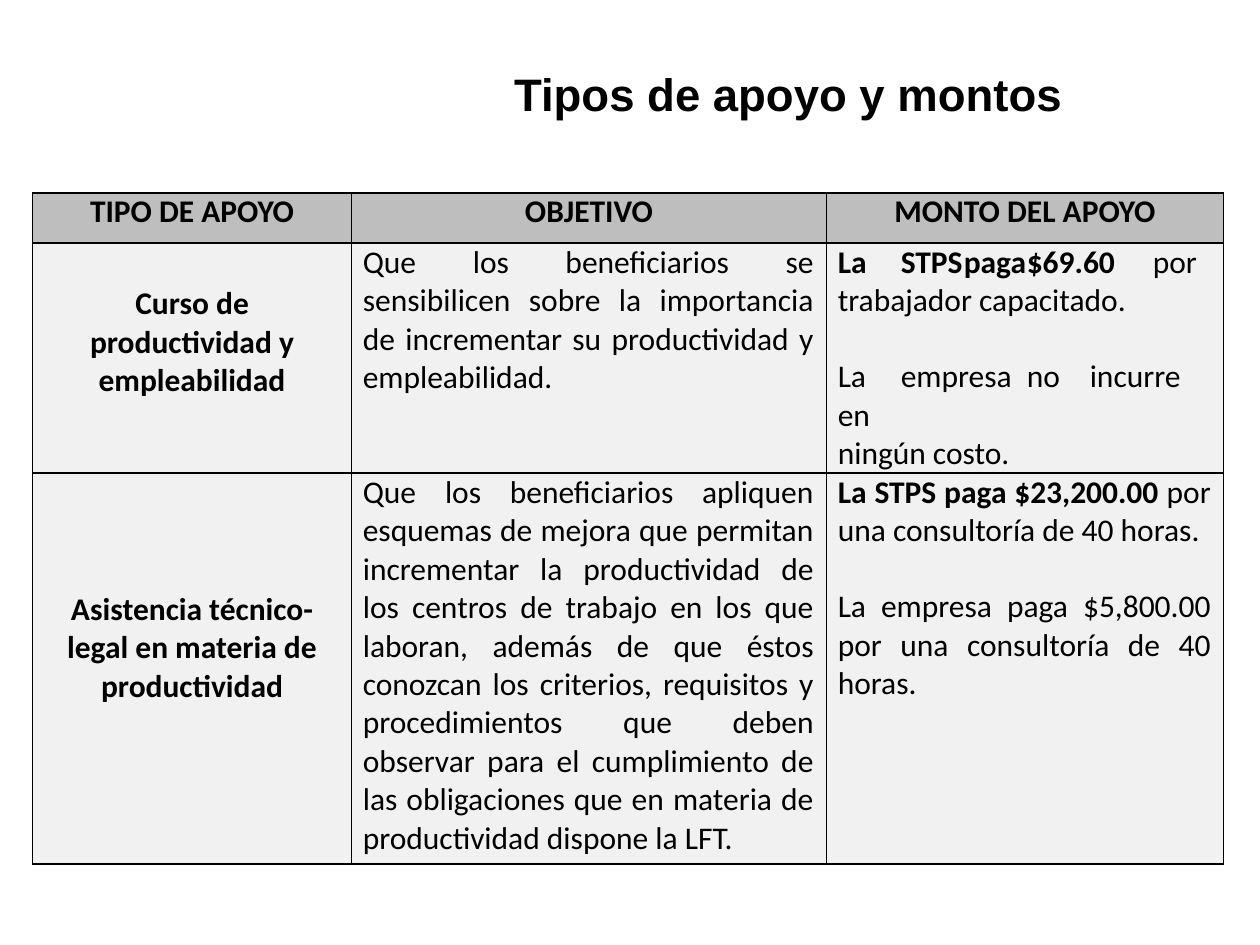
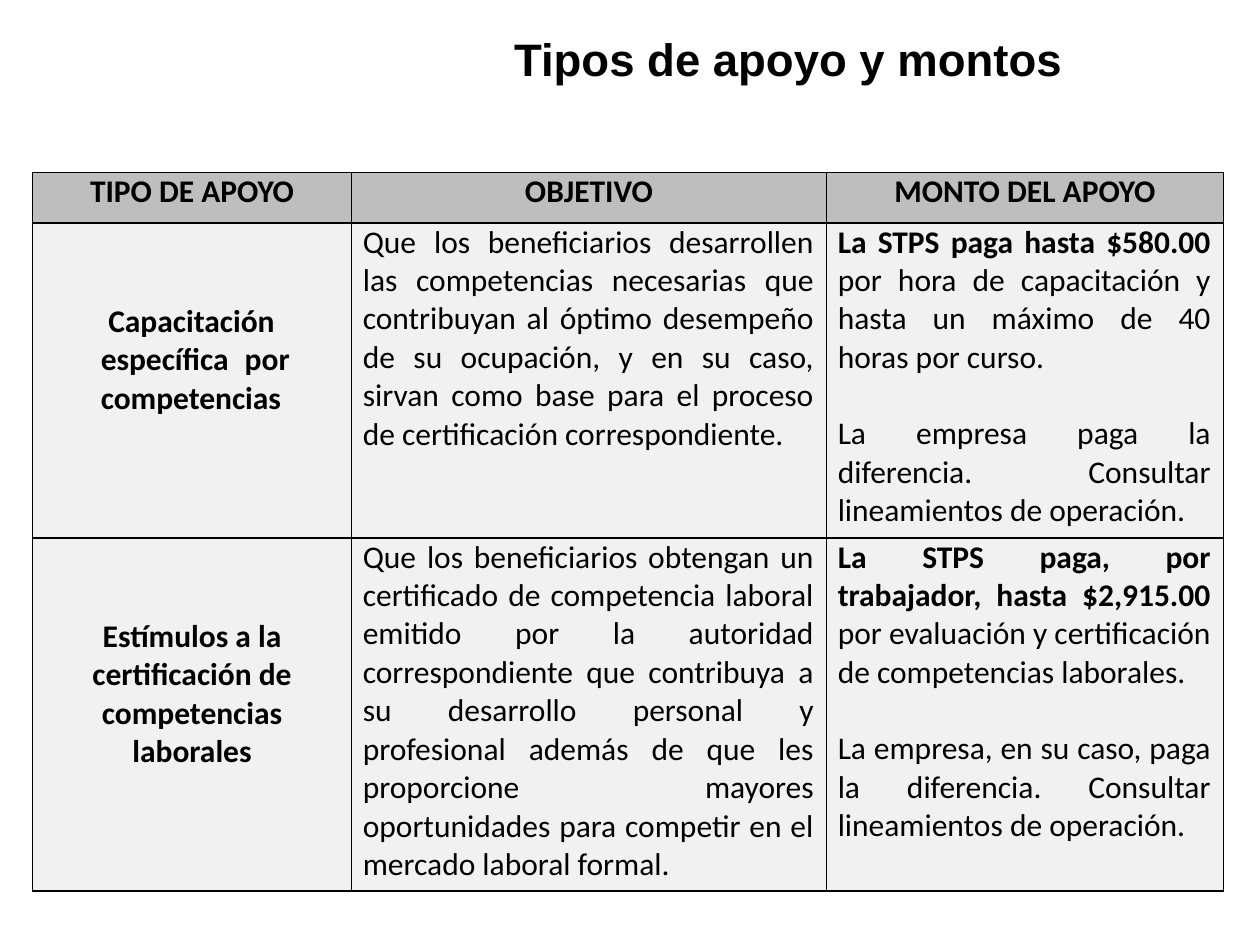
from lxml import etree
from pptx import Presentation
from pptx.dml.color import RGBColor as Rgb
from pptx.enum.text import MSO_ANCHOR as Anchor, PP_ALIGN as Align
from pptx.oxml.ns import qn
from pptx.util import Inches, Pt

HUES = {"ink": "000000", "head": "BEBEBE", "cell": "F1F1F1"}
TITLE = "Tipos de apoyo y montos"
HEADS = ["TIPO DE APOYO", "OBJETIVO", "MONTO DEL APOYO"]
COLS = [2.53, 3.77, 3.15]
LEFT = 0.26
HEAD_H = 0.4
SIDE = 0.09
EDGE = 0.1
GAP = 21.6

# Each row: height, name with its format, goal, payment paragraphs.
# A payment paragraph holds a bold part, a plain part and its format.
PAGES = [
    {"title": 0.58, "table": 1.53, "rows": [
        {"high": 1.6,
         "name": ("Curso de productividad y empleabilidad",
                  {"top": 0.33, "side": 0.43}),
         "goal": "Que los beneficiarios se sensibilicen sobre la importancia "
                 "de incrementar su productividad y empleabilidad.",
         "edge": 0.2,
         "pay": [("La\tSTPS\tpaga\t$69.60\t", "por trabajador capacitado.",
                  {"align": Align.LEFT, "tabs": [0.49, 1.15, 1.82, 2.68]}),
                 ("", "La\tempresa\tno\tincurre\ten",
                  {"align": Align.LEFT, "before": GAP,
                   "tabs": [0.46, 1.5, 1.9, 2.78]}),
                 ("", "ningún costo.", {"align": Align.LEFT})]},
        {"high": 3.1,
         "name": ("Asistencia técnico- legal en materia de productividad"
                  .replace("- ", "-"), {"top": 0.93, "side": 0.24}),
         "goal": "Que los beneficiarios apliquen esquemas de mejora que "
                 "permitan incrementar la productividad de los centros de "
                 "trabajo en los que laboran, además de que éstos conozcan "
                 "los criterios, requisitos y procedimientos que deben "
                 "observar para el cumplimiento de las obligaciones que en "
                 "materia de productividad dispone la LFT.",
         "pay": [("La STPS paga $23,200.00 ",
                  "por una consultoría de 40 horas.", {}),
                 ("", "La empresa paga $5,800.00 por una consultoría de 40 "
                  "horas.", {"before": GAP})]},
    ]},
    {"title": 0.3, "table": 1.37, "rows": [
        {"high": 2.5,
         "name": ("Capacitación específica por competencias",
                  {"top": 0.63, "side": 0.54, "edge": 0.49,
                   "align": Align.JUSTIFY, "indent": 0.06}),
         "goal": "Que los beneficiarios desarrollen las competencias "
                 "necesarias que contribuyan al óptimo desempeño de su "
                 "ocupación, y en su caso, sirvan como base para el proceso "
                 "de certificación correspondiente.",
         "pay": [("La STPS paga hasta $580.00 ",
                  "por hora de capacitación y hasta un máximo de 40 horas "
                  "por curso.", {}),
                 ("", "La empresa paga la diferencia. Consultar lineamientos "
                  "de operación.", {"before": GAP})]},
        {"high": 2.8,
         "name": ("Estímulos a la certificación de competencias laborales",
                  {"top": 0.63, "side": 0.44}),
         "goal": "Que los beneficiarios obtengan un certificado de "
                 "competencia laboral emitido por la autoridad "
                 "correspondiente que contribuya a su desarrollo personal y "
                 "profesional además de que les proporcione mayores "
                 "oportunidades para competir en el mercado laboral formal.",
         "pay": [("La STPS paga, por trabajador, hasta $2,915.00 ",
                  "por evaluación y certificación de competencias "
                  "laborales.", {}),
                 ("", "La empresa, en su caso, paga la diferencia. Consultar "
                  "lineamientos de operación.", {"before": GAP})]},
    ]},
]


def write(para, bold="", plain="", size=18, face="Calibri",
          align=Align.JUSTIFY, before=0, line=None, indent=0, tabs=()):
    """Fill a paragraph with a bold part and then a plain part."""
    props = para._p.get_or_add_pPr()
    props.set("marL", "0")
    props.set("indent", str(Inches(indent)))
    etree.SubElement(props, qn("a:buNone"))
    if tabs:
        stops = etree.SubElement(props, qn("a:tabLst"))
        for stop in tabs:
            etree.SubElement(stops, qn("a:tab"), pos=str(Inches(stop)),
                             algn="l")
    para.alignment = align
    para.space_before = Pt(before)
    if line:
        para.line_spacing = Pt(line)
    for text, heavy in ((bold, True), (plain, False)):
        if text:
            run = para.add_run()
            run.text = text
            font = run.font
            font.name, font.size, font.bold = face, Pt(size), heavy
            font.color.rgb = Rgb.from_string(HUES["ink"])


def frame_cell(cell, hue, top=0, side=SIDE, edge=EDGE):
    """Give a cell its margins, black borders and fill."""
    cell.margin_left, cell.margin_right = Inches(side), Inches(edge)
    cell.margin_top, cell.margin_bottom = Inches(top), 0
    props = cell._tc.get_or_add_tcPr()
    for tag in ("lnL", "lnR", "lnT", "lnB"):
        rule = etree.SubElement(props, qn("a:" + tag), w=str(Pt(1)))
        paint = etree.SubElement(rule, qn("a:solidFill"))
        etree.SubElement(paint, qn("a:srgbClr"), val=HUES["ink"])
    cell.fill.solid()
    cell.fill.fore_color.rgb = Rgb.from_string(HUES[hue])


def add_title(slide, top):
    title = slide.shapes.title
    title.left, title.top = Inches(4.08), Inches(top)
    title.width, title.height = Inches(4.84), Inches(0.38)
    frame = title.text_frame
    frame.margin_left = frame.margin_right = 0
    frame.margin_top = frame.margin_bottom = 0
    frame.vertical_anchor = Anchor.TOP
    frame.word_wrap = True
    write(frame.paragraphs[0], TITLE, size=26, face="Arial",
          align=Align.LEFT, line=27.3)


def fill_name(cell, text, top=0, side=0, edge=None, align=Align.CENTER,
              indent=0):
    frame_cell(cell, "cell", top, side, side if edge is None else edge)
    write(cell.text_frame.paragraphs[0], text, align=align, indent=indent)


def fill_pay(cell, parts, edge):
    frame_cell(cell, "cell", edge=edge)
    frame = cell.text_frame
    for i, (bold, plain, style) in enumerate(parts):
        para = frame.add_paragraph() if i else frame.paragraphs[0]
        write(para, bold, plain, **style)


def add_grid(slide, top, rows):
    highs = [HEAD_H] + [row["high"] for row in rows]
    grid = slide.shapes.add_table(
        len(highs), len(COLS), Inches(LEFT), Inches(top),
        Inches(sum(COLS)), Inches(sum(highs))).table
    grid.first_row = grid.horz_banding = False
    for col, wide in zip(grid.columns, COLS):
        col.width = Inches(wide)
    for row, high in zip(grid.rows, highs):
        row.height = Inches(high)
    for i, head in enumerate(HEADS):
        cell = grid.cell(0, i)
        frame_cell(cell, "head", side=0, edge=0)
        write(cell.text_frame.paragraphs[0], head, align=Align.CENTER)
    for i, row in enumerate(rows, 1):
        text, style = row["name"]
        fill_name(grid.cell(i, 0), text, **style)
        goal = grid.cell(i, 1)
        frame_cell(goal, "cell")
        write(goal.text_frame.paragraphs[0], plain=row["goal"])
        fill_pay(grid.cell(i, 2), row["pay"], row.get("edge", EDGE))


def main():
    deck = Presentation()
    deck.slide_width, deck.slide_height = Inches(10), Inches(7.5)
    for page in PAGES:
        slide = deck.slides.add_slide(deck.slide_layouts[5])
        add_grid(slide, page["table"], page["rows"])
        add_title(slide, page["title"])
    deck.save("out.pptx")


if __name__ == "__main__":
    main()
